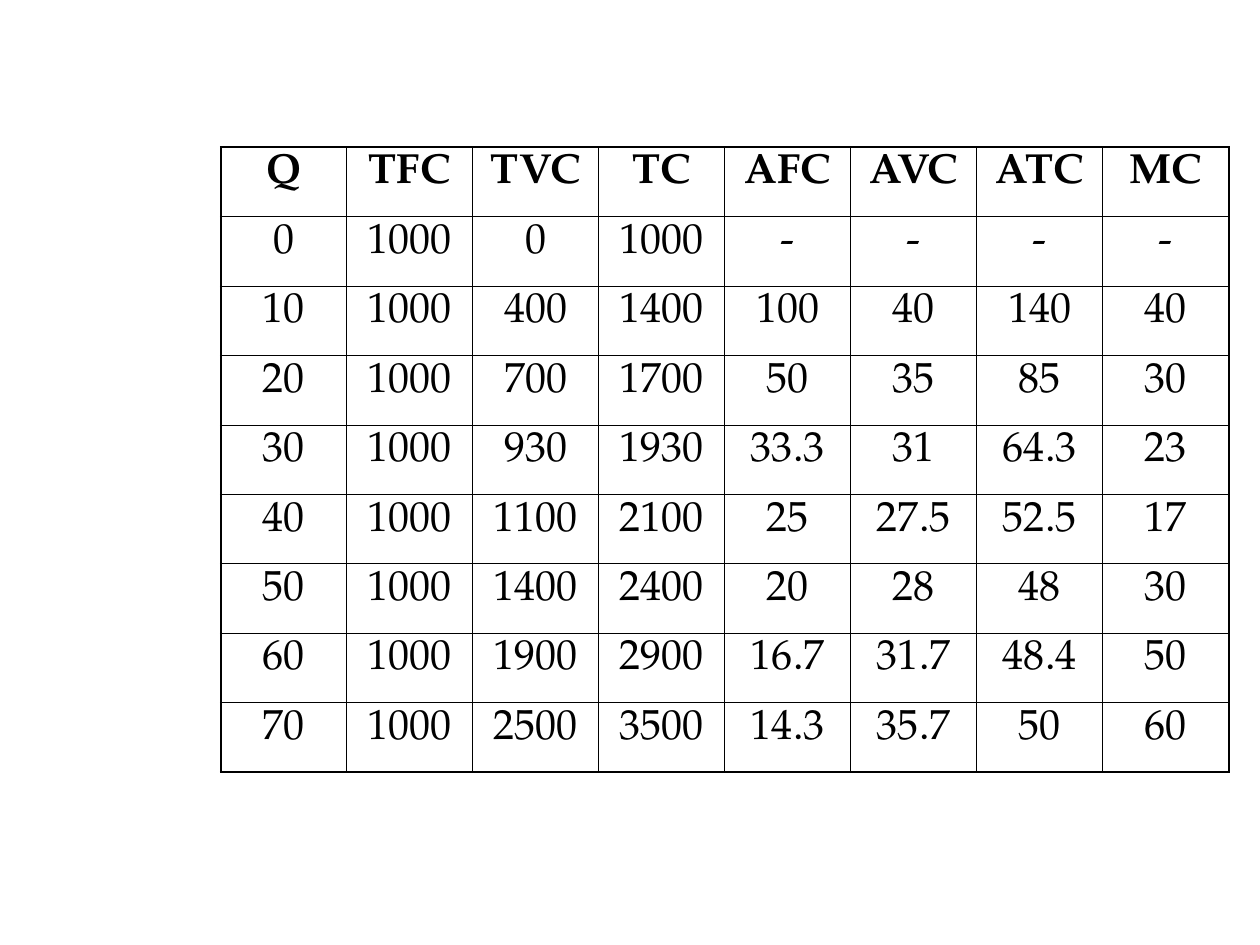
from dataclasses import dataclass

from lxml.etree import SubElement
from pptx import Presentation
from pptx.dml.color import RGBColor
from pptx.enum.text import PP_ALIGN
from pptx.oxml.ns import qn
from pptx.util import Cm, Pt


@dataclass(frozen=True)
class Theme:
    font: str = "TeX Gyre Pagella"
    text_size: float = 24
    space_before: float = 6
    ink: str = "000000"
    inner_line: float = 0.45
    outer_line: float = 1.08


THEME = Theme()

LEFT, TOP = Cm(4.45), Cm(2.97)
COLUMN_WIDTH, ROW_HEIGHT = Cm(2.54), Cm(1.4)

COST_SCHEDULE = [
    ("Q", "TFC", "TVC", "TC", "AFC", "AVC", "ATC", "MC"),
    ("0", "1000", "0", "1000", "-", "-", "-", "-"),
    ("10", "1000", "400", "1400", "100", "40", "140", "40"),
    ("20", "1000", "700", "1700", "50", "35", "85", "30"),
    ("30", "1000", "930", "1930", "33.3", "31", "64.3", "23"),
    ("40", "1000", "1100", "2100", "25", "27.5", "52.5", "17"),
    ("50", "1000", "1400", "2400", "20", "28", "48", "30"),
    ("60", "1000", "1900", "2900", "16.7", "31.7", "48.4", "50"),
    ("70", "1000", "2500", "3500", "14.3", "35.7", "50", "60"),
]


def set_borders(cell, outer_sides):
    """Draw all four borders, heavier on the sides that edge the table."""
    properties = cell._tc.get_or_add_tcPr()
    for side, is_outer in outer_sides.items():
        width = THEME.outer_line if is_outer else THEME.inner_line
        line = SubElement(properties, qn(f"a:ln{side}"), w=str(int(Pt(width))))
        fill = SubElement(line, qn("a:solidFill"))
        SubElement(fill, qn("a:srgbClr"), val=THEME.ink)


def write_cell(cell, text, bold):
    cell.text = text
    paragraph = cell.text_frame.paragraphs[0]
    paragraph.alignment = PP_ALIGN.CENTER
    paragraph.space_before = Pt(THEME.space_before)
    font = paragraph.font
    font.name = THEME.font
    font.size = Pt(THEME.text_size)
    font.bold = bold
    font.color.rgb = RGBColor.from_string(THEME.ink)


def add_cost_table(slide, rows):
    row_count, column_count = len(rows), len(rows[0])
    table = slide.shapes.add_table(
        row_count, column_count, LEFT, TOP,
        COLUMN_WIDTH * column_count, ROW_HEIGHT * row_count,
    ).table
    table.first_row = False
    table.horz_banding = False
    for row_index, row in enumerate(rows):
        for column_index, text in enumerate(row):
            cell = table.cell(row_index, column_index)
            write_cell(cell, text, bold=row_index == 0)
            set_borders(cell, {
                "L": column_index == 0,
                "R": column_index == column_count - 1,
                "T": row_index == 0,
                "B": row_index == row_count - 1,
            })
            cell.fill.background()


def main():
    presentation = Presentation()
    presentation.slide_width = Cm(25.4)
    presentation.slide_height = Cm(19.05)
    slide = presentation.slides.add_slide(presentation.slide_layouts[6])
    add_cost_table(slide, COST_SCHEDULE)
    presentation.save("out.pptx")


if __name__ == "__main__":
    main()
